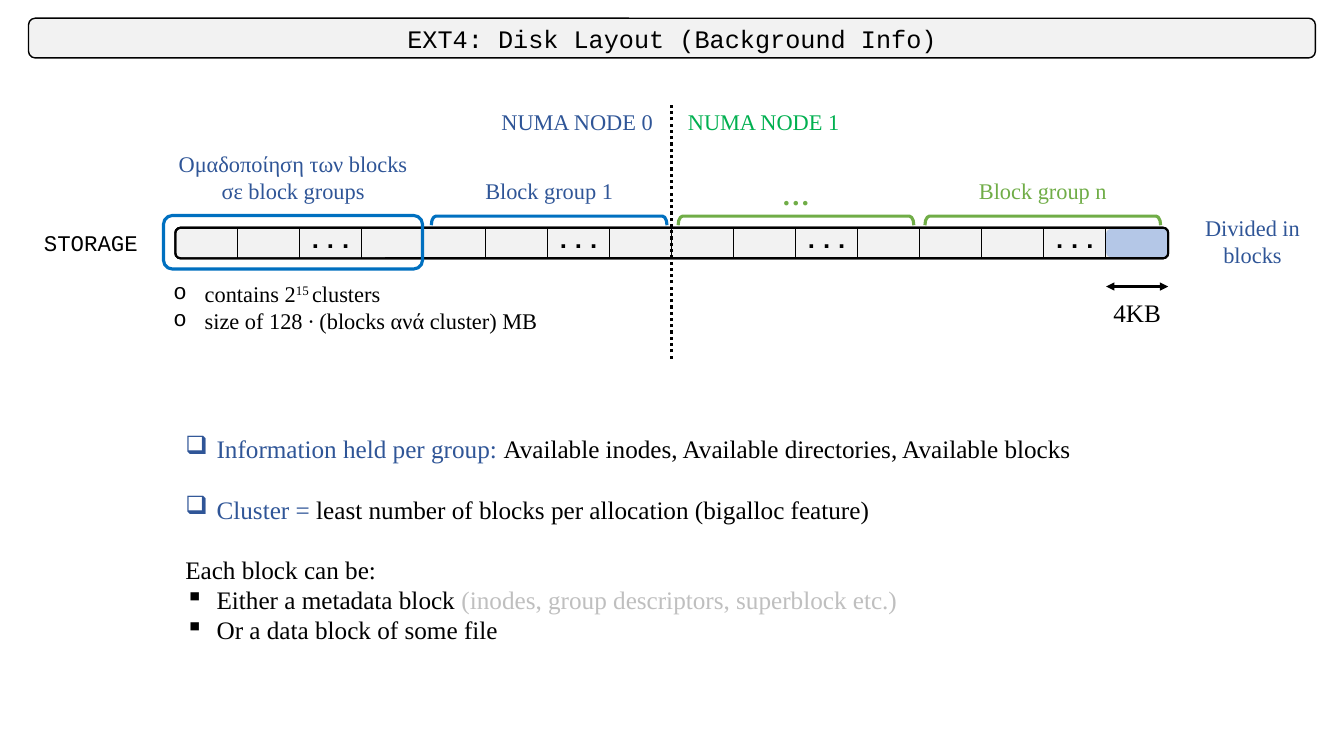
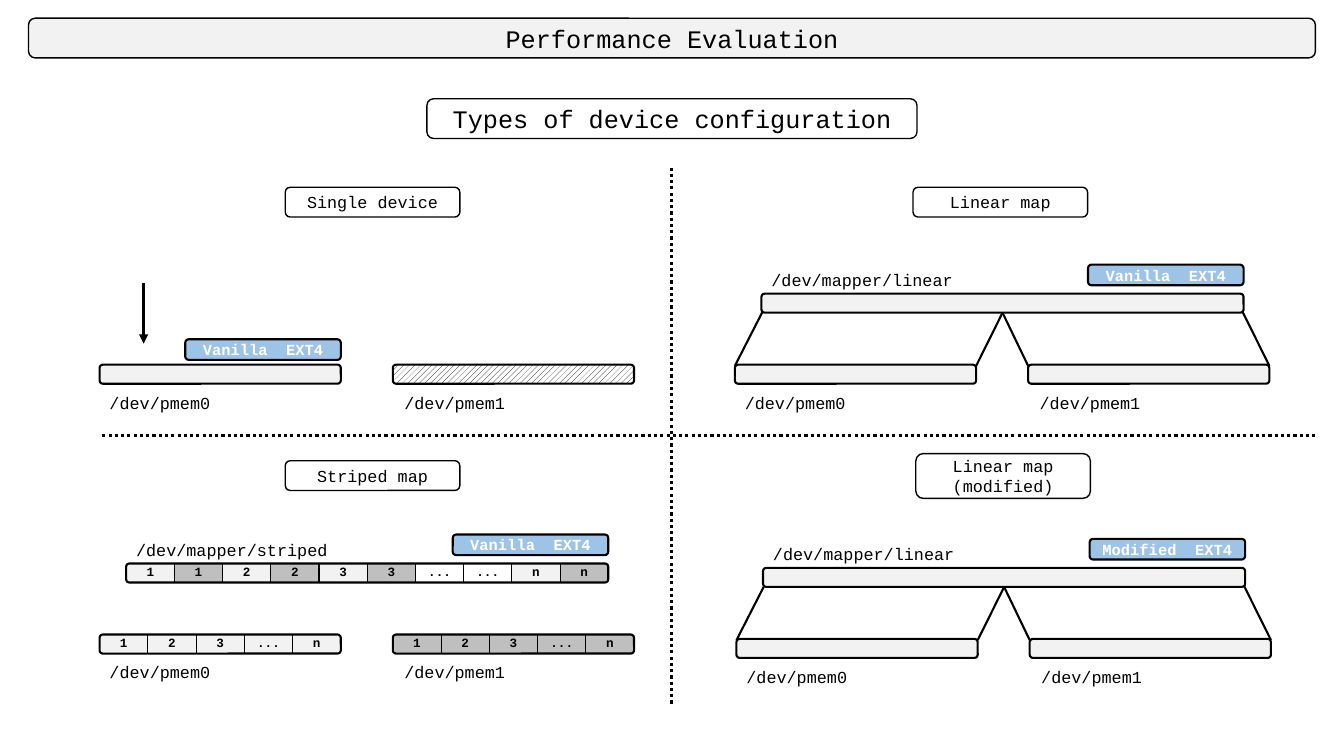
from collections.abc import Sequence
from dataclasses import dataclass

from lxml.etree import SubElement
from pptx import Presentation
from pptx.dml.color import RGBColor
from pptx.enum.dml import MSO_LINE, MSO_PATTERN
from pptx.enum.shapes import MSO_CONNECTOR, MSO_SHAPE
from pptx.enum.text import MSO_ANCHOR, PP_ALIGN
from pptx.oxml.ns import qn
from pptx.shapes.autoshape import Shape
from pptx.shapes.connector import Connector
from pptx.slide import Slide
from pptx.text.text import TextFrame
from pptx.util import Cm, Pt

BLACK = RGBColor(0x00, 0x00, 0x00)
WHITE = RGBColor(0xFF, 0xFF, 0xFF)
PALE = RGBColor(0xF2, 0xF2, 0xF2)
GREY = RGBColor(0xBF, 0xBF, 0xBF)
NAVY = RGBColor(0x2F, 0x55, 0x97)
BLUE = RGBColor(0x00, 0x70, 0xC0)
GREEN = RGBColor(0x70, 0xAD, 0x47)
NODE_GREEN = RGBColor(0x00, 0xB0, 0x50)
BLOCK_BLUE = RGBColor(0xB4, 0xC7, 0xE7)
BADGE_BLUE = RGBColor(0x9D, 0xC3, 0xE6)
SERIF = "Times New Roman"
MONO = "Courier New"
INDENT = Cm(0.79)

BAR_WIDTH, BAR_HEIGHT = 6.08, 0.48
DEVICE_STEP = 7.39
MAPPER_WIDTH = 12.15
BADGE_WIDTH, BADGE_HEIGHT = 3.92, 0.52


@dataclass(frozen=True)
class Box:
    left: float
    top: float
    width: float
    height: float

    def lengths(self) -> tuple[Cm, Cm, Cm, Cm]:
        return Cm(self.left), Cm(self.top), Cm(self.width), Cm(self.height)


@dataclass(frozen=True)
class Span:
    text: str
    color: RGBColor = BLACK
    raised: bool = False


@dataclass(frozen=True)
class Line:
    spans: tuple[Span, ...]
    bullet: str = ""
    space_before: float = 0


@dataclass(frozen=True)
class BlockGroup:
    label: str
    color: RGBColor
    label_color: RGBColor
    size: int = 16
    bold: bool = False


@dataclass(frozen=True)
class Panel:
    title: str
    title_box: Box
    left: float
    top: float
    badge: str
    fills: tuple[RGBColor | None, RGBColor | None] = (PALE, PALE)
    mapper: str = ""
    stripes: str = ""


def write(frame: TextFrame, text: str | Sequence[Line], *, font: str = SERIF, size: float = 16,
          color: RGBColor = BLACK, bold: bool = False, align: PP_ALIGN = PP_ALIGN.CENTER) -> None:
    lines = [Line((Span(text, color),))] if isinstance(text, str) else text
    for index, line in enumerate(lines):
        paragraph = frame.add_paragraph() if index else frame.paragraphs[0]
        paragraph.alignment = align
        if line.space_before:
            paragraph.space_before = Pt(line.space_before)
        if line.bullet:
            properties = paragraph._p.get_or_add_pPr()
            properties.set("marL", str(INDENT))
            properties.set("indent", str(-INDENT))
            if line.bullet == "o":
                SubElement(properties, qn("a:buFont"), typeface=MONO)
            SubElement(properties, qn("a:buChar"), char=line.bullet)
        for span in line.spans:
            run = paragraph.add_run()
            run.text = span.text
            run.font.name = font
            run.font.size = Pt(size)
            run.font.bold = bold
            run.font.color.rgb = span.color
            if span.raised:
                run.font._element.set("baseline", "30000")


def add_label(slide: Slide, box: Box, text: str | Sequence[Line], wrap: bool = True, **style) -> None:
    frame = slide.shapes.add_textbox(*box.lengths()).text_frame
    frame.word_wrap = wrap
    write(frame, text, **style)


def add_outline(slide: Slide, box: Box, *, fill: RGBColor | None = None, line: RGBColor | None = BLACK,
                weight: float = 1.5, preset: MSO_SHAPE = MSO_SHAPE.ROUNDED_RECTANGLE) -> Shape:
    shape = slide.shapes.add_shape(preset, *box.lengths())
    shape.shadow.inherit = False
    if fill is None:
        shape.fill.background()
    else:
        shape.fill.solid()
        shape.fill.fore_color.rgb = fill
    if line is None:
        shape.line.fill.background()
    else:
        shape.line.color.rgb = line
        shape.line.width = Pt(weight)
    return shape


def add_plate(slide: Slide, box: Box, text: str, *, fill: RGBColor = WHITE, weight: float = 1,
              **style) -> None:
    frame = add_outline(slide, box, fill=fill, weight=weight).text_frame
    frame.word_wrap = True
    frame.vertical_anchor = MSO_ANCHOR.MIDDLE
    write(frame, text, font=MONO, **style)


def add_line(slide: Slide, start: tuple[float, float], end: tuple[float, float], *,
             weight: float = 1.5, dotted: bool = False, arrows: Sequence[str] = ()) -> Connector:
    connector = slide.shapes.add_connector(
        MSO_CONNECTOR.STRAIGHT, *(Cm(value) for value in (*start, *end)))
    connector.line.color.rgb = BLACK
    connector.line.width = Pt(weight)
    if dotted:
        connector.line.dash_style = MSO_LINE.ROUND_DOT
    properties = connector._element.spPr
    for arrow in arrows:
        SubElement(properties.find(qn("a:ln")), qn(f"a:{arrow}"), type="triangle")
    SubElement(properties, qn("a:effectLst"))
    return connector


def add_cells(slide: Slide, box: Box, texts: Sequence[str], *, size: float,
              anchor: MSO_ANCHOR = MSO_ANCHOR.MIDDLE, fills: Sequence[RGBColor | None] = ()) -> None:
    table = slide.shapes.add_table(1, len(texts), *box.lengths()).table
    table.first_row = table.horz_banding = False
    for index, text in enumerate(texts):
        table.columns[index].width = Cm(box.width / len(texts))
        cell = table.cell(0, index)
        cell.margin_left = cell.margin_right = cell.margin_top = cell.margin_bottom = 0
        cell.vertical_anchor = anchor
        if text:
            write(cell.text_frame, text, font=MONO, size=size, bold=True)
        properties = cell._tc.get_or_add_tcPr()
        inner = {"L": index > 0, "R": index < len(texts) - 1, "T": False, "B": False}
        for side, visible in inner.items():
            border = SubElement(properties, qn(f"a:ln{side}"), w=str(Pt(1)))
            if visible:
                SubElement(SubElement(border, qn("a:solidFill")), qn("a:srgbClr"), val=str(BLACK))
            else:
                SubElement(border, qn("a:noFill"))
        if fills and fills[index] is not None:
            cell.fill.solid()
            cell.fill.fore_color.rgb = fills[index]
        else:
            cell.fill.background()


def add_titled_slide(deck: Presentation, title: str) -> Slide:
    slide = deck.slides.add_slide(deck.slide_layouts[6])
    add_plate(slide, Box(0.72, 0.46, 32.43, 1), title, fill=PALE, size=18)
    return slide


def draw_disk_layout(deck: Presentation) -> None:
    slide = add_titled_slide(deck, "EXT4: Disk Layout (Background Info)")
    storage = Box(4.42, 5.74, 25.02, 0.77)
    block_width = storage.width / 16
    block_left = storage.left + 15 * block_width
    add_outline(slide, storage, fill=PALE)
    add_outline(slide, Box(block_left, 5.77, block_width, 0.71), fill=BLOCK_BLUE, line=None)
    add_cells(slide, storage, ["", "", "...", ""] * 3 + ["", "", "...", ""], size=18,
              anchor=MSO_ANCHOR.TOP)
    add_outline(slide, storage)
    add_label(slide, Box(29.75, 5.28, 3.63, 1.63), "Divided in blocks", color=NAVY)
    add_label(slide, Box(0.79, 5.66, 3, 0.94), "STORAGE", font=MONO)
    add_line(slide, (block_left, 7.22), (block_left + block_width, 7.22),
             arrows=("headEnd", "tailEnd"))
    add_label(slide, Box(27.81, 7.37, 1.73, 1.02), "4KB", wrap=False, size=18, align=PP_ALIGN.LEFT)

    add_outline(slide, Box(4.12, 5.43, 6.53, 1.35), line=BLUE, weight=2.25)
    add_label(slide, Box(4.12, 3.66, 6.53, 1.63), "Ομαδοποίηση των blocks σε block groups", color=NAVY)
    add_label(slide, Box(4.12, 6.93, 11.56, 1.63), [
        Line((Span("contains 2"), Span("15 ", raised=True), Span("clusters")), "o"),
        Line((Span("size of 128 ∙ (blocks ανά cluster) MB"),), "o"),
    ], align=PP_ALIGN.LEFT)

    span, thickness = 5.94, 0.23
    groups = [
        BlockGroup("Block group 1", BLUE, NAVY),
        BlockGroup("…", GREEN, GREEN, 20, True),
        BlockGroup("Block group n", GREEN, GREEN),
    ]
    for index, group in enumerate(groups):
        left = 10.87 + 6.22 * index
        bracket = add_outline(
            slide, Box(left + (span - thickness) / 2, 2.59, thickness, span),
            line=group.color, weight=2.25, preset=MSO_SHAPE.RIGHT_BRACKET)
        bracket.adjustments[0] = 0.5
        bracket.rotation = 270
        add_label(slide, Box(left, 4.34, span, 0.94), group.label, size=group.size,
                  color=group.label_color, bold=group.bold)

    add_line(slide, (16.93, 9.04), (16.93, 2.57), weight=2.25, dotted=True)
    for node, (left, color) in enumerate(((12.22, NAVY), (16.92, NODE_GREEN))):
        add_label(slide, Box(left, 2.6, 4.65, 0.94), f"NUMA NODE {node}", color=color)

    add_label(slide, Box(4.42, 10.8, 25.02, 5.64), [
        Line((Span("Information held per group: ", NAVY),
              Span("Available inodes, Available directories, Available blocks")), "❑"),
        Line((Span("Cluster = ", NAVY),
              Span("least number of blocks per allocation (bigalloc feature)")), "❑", 21.5),
        Line((Span("Each block can be:"),), space_before=21.5),
        Line((Span("Either a metadata block "),
              Span("(inodes, group descriptors, superblock etc.)", GREY)), "▪"),
        Line((Span("Or a data block of some file"),), "▪"),
    ], size=18, align=PP_ALIGN.LEFT)


def draw_mapper(slide: Slide, panel: Panel, mapper: Box) -> None:
    add_label(slide, Box(mapper.left, mapper.top - 0.73, 5.92, 0.76), panel.mapper,
              font=MONO, size=12, align=PP_ALIGN.LEFT)
    if panel.stripes:
        stripes = panel.stripes.split()
        add_cells(slide, mapper, [stripe for stripe in stripes for _ in panel.fills], size=9,
                  fills=[None if stripe == "..." else fill for stripe in stripes for fill in panel.fills])
        add_outline(slide, mapper)
        return
    bar = add_outline(slide, mapper, fill=PALE)
    base, foot = panel.top + 0.03, mapper.top + mapper.height
    for device_left, outer, inner, corner in (
            (panel.left, 0, BAR_WIDTH, mapper.left + 0.03),
            (panel.left + DEVICE_STEP, BAR_WIDTH, 0, mapper.left + mapper.width - 0.03)):
        add_line(slide, (device_left + outer, base), (corner, foot - 0.03))
        joint = add_line(slide, (device_left + inner, base), (mapper.left + mapper.width / 2, foot))
        joint.end_connect(bar, 2)


def draw_panel(slide: Slide, panel: Panel) -> None:
    add_plate(slide, panel.title_box, panel.title, size=12)
    badge_right, badge_top = panel.left + BAR_WIDTH, panel.top - 0.64
    if panel.mapper:
        mapper = Box(panel.left + 0.67, panel.top - 1.79, MAPPER_WIDTH, BAR_HEIGHT)
        draw_mapper(slide, panel, mapper)
        badge_right, badge_top = mapper.left + mapper.width, mapper.top - 0.73
    add_plate(slide, Box(badge_right - BADGE_WIDTH, badge_top, BADGE_WIDTH, BADGE_HEIGHT),
              panel.badge, fill=BADGE_BLUE, weight=1.5, size=11, color=WHITE, bold=True)
    for index, fill in enumerate(panel.fills):
        device = Box(panel.left + index * DEVICE_STEP, panel.top, BAR_WIDTH, BAR_HEIGHT)
        bar = add_outline(slide, device, fill=fill)
        if fill is None:
            bar.fill.patterned()
            bar.fill.pattern = MSO_PATTERN.WIDE_UPWARD_DIAGONAL
            bar.fill.fore_color.rgb = BLACK
            bar.fill.back_color.rgb = WHITE
        if panel.stripes:
            add_cells(slide, device, panel.stripes.split(), size=9)
        add_label(slide, Box(panel.left + index * 7.43, panel.top + 0.57, 3.3, 0.76),
                  f"/dev/pmem{index}", font=MONO, size=12, align=PP_ALIGN.LEFT)


def draw_evaluation(deck: Presentation) -> None:
    slide = add_titled_slide(deck, "Performance Evaluation")
    add_plate(slide, Box(10.76, 2.49, 12.35, 1), "Types of device configuration", size=18)
    add_line(slide, (16.93, 17.73), (16.93, 4.22), weight=2.25, dotted=True)
    add_line(slide, (33.15, 10.97), (2.51, 10.97), weight=2.25, dotted=True)
    panels = [
        Panel("Single device", Box(7.19, 4.72, 4.4, 0.75), 2.51, 9.19, "Vanilla  EXT4", (PALE, None)),
        Panel("Linear map", Box(23.01, 4.72, 4.4, 0.75), 18.52, 9.19, "Vanilla  EXT4",
              mapper="/dev/mapper/linear"),
        Panel("Striped map", Box(7.19, 11.61, 4.4, 0.75), 2.51, 15.99, "Vanilla  EXT4", (PALE, GREY),
              "/dev/mapper/striped", "1 2 3 ... n"),
        Panel("Linear map (modified)", Box(23.08, 11.43, 4.4, 1.13), 18.56, 16.1, "Modified  EXT4",
              mapper="/dev/mapper/linear"),
    ]
    for panel in panels:
        draw_panel(slide, panel)
    add_line(slide, (3.62, 7.13), (3.62, 8.66), weight=2.25, arrows=("tailEnd",))


def main() -> None:
    deck = Presentation()
    deck.slide_width, deck.slide_height = Cm(33.87), Cm(19.05)
    draw_disk_layout(deck)
    draw_evaluation(deck)
    deck.save("out.pptx")


if __name__ == "__main__":
    main()
